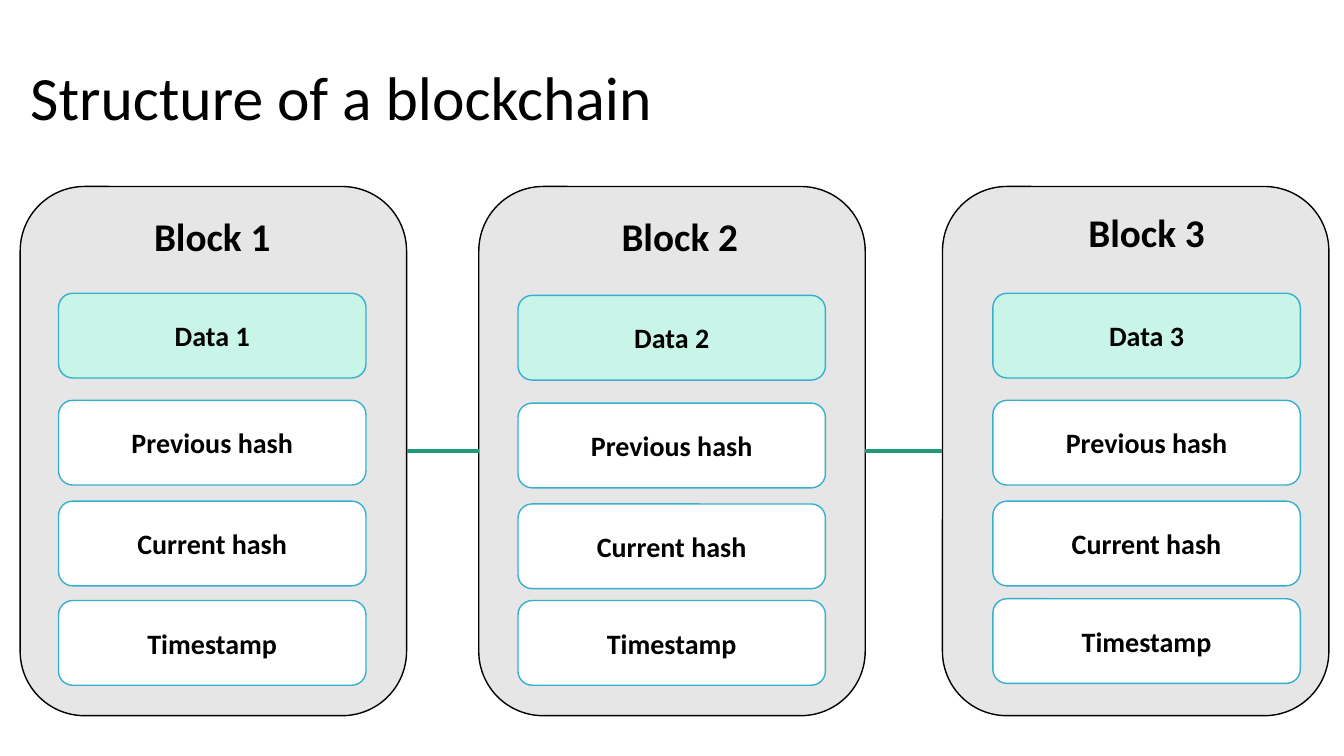
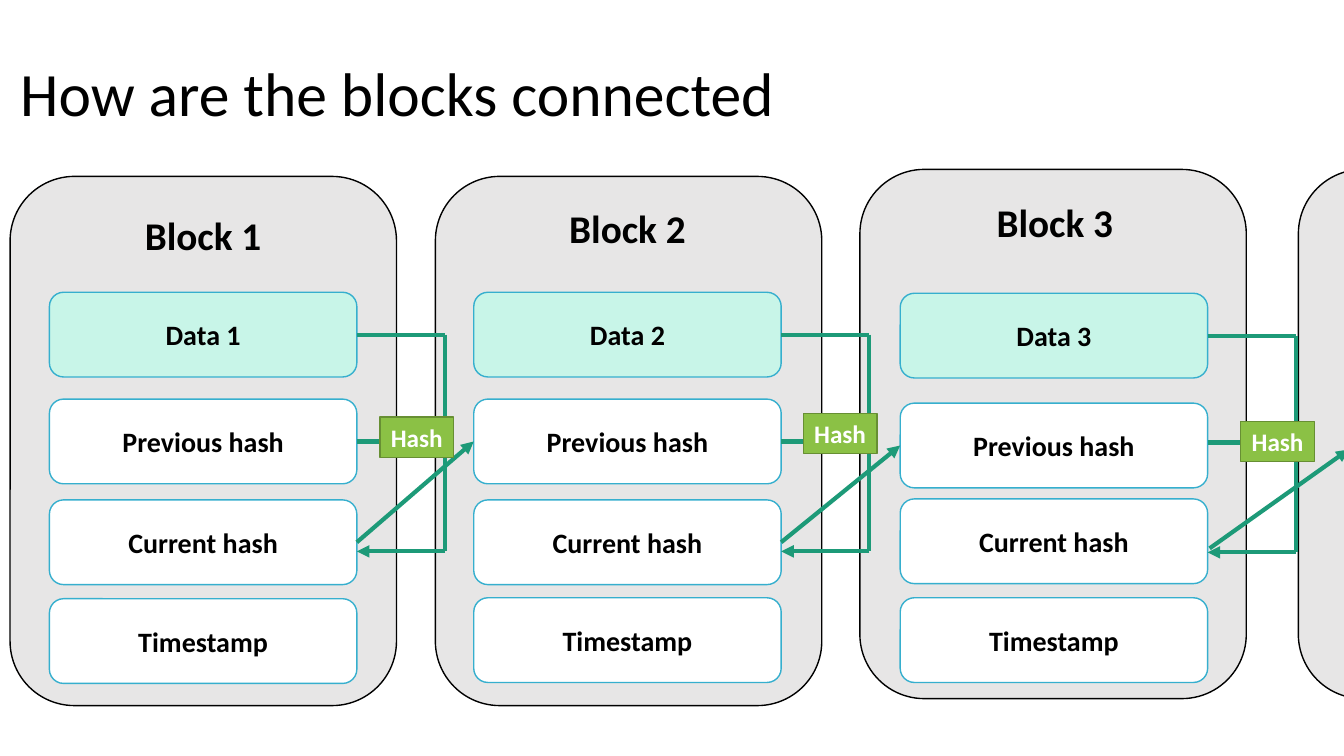
"""Builds two slides on how a blockchain is structured and linked."""
from collections import namedtuple
from dataclasses import dataclass
from lxml import etree
from pptx import Presentation
from pptx.dml.color import RGBColor as RGB
from pptx.enum.shapes import MSO_CONNECTOR as CXN, MSO_SHAPE as SHP
from pptx.enum.text import MSO_ANCHOR as ANCHOR, MSO_AUTO_SIZE as FIT, PP_ALIGN as ALIGN
from pptx.oxml.ns import qn
from pptx.util import Pt


@dataclass(frozen=True)
class Theme:
    font: str = "Calibri"
    ink: str = "000000"
    paper: str = "FFFFFF"
    panel: str = "E7E6E6"
    data: str = "C8F5E8"
    edge: str = "36AFCE"
    link: str = "1D9A78"
    tag: str = "8BC145"
    tag_edge: str = "678F33"
    title_size: int = 44
    head_size: int = 28
    field_size: int = 20
    tag_size: int = 18
    line_width: int = 1
    link_width: int = 3


T = Theme()
PANEL_W, PANEL_H = 276, 378
FIELD_W, FIELD_H = 219.6, 60.5
HEAD_H = 41
TAG_W, TAG_H = 52.6, 28.8
LOOP_W, LOOP_H, STUB_DY = 63, 154.8, 76.3
HASHES = ["Previous hash", "Current hash", "Timestamp"]

Block = namedtuple("Block", "panel_x panel_y head_x head_y field_x tops")
STRUCTURE = [
    Block(14.4, 133.2, 41.8, 148.3, 41.8, (209.5, 286, 358, 429)),
    Block(342, 133.2, 375.8, 148.3, 370, (211, 288, 360, 429)),
    Block(673.2, 133.2, 709.2, 145.4, 709.2, (209.5, 286, 358, 427.7)),
]
CONNECTED = [
    Block(7.2, 126, 35.3, 147.6, 35.3, (208.8, 285.1, 357.1, 427.7)),
    Block(311, 126, 338.4, 142.6, 338.4, (208.8, 285.1, 357.1, 427)),
    Block(614.2, 121, 643.7, 138.2, 643, (209.5, 288, 356.4, 427)),
]
NEXT_PANEL = (927.4, 121)
TAGS = [(271.4, 298), (573.8, 295.2), (886.3, 301)]
LAST_LINK = ((864, 391.7), (963.4, 321.1))


def assign(obj, values):
    for name, value in values.items():
        setattr(obj, name, value)


def side(sp, site):
    x, y, w, h = (v.pt for v in (sp.left, sp.top, sp.width, sp.height))
    return [(x + w / 2, y), (x, y + h / 2), (x + w / 2, y + h), (x + w, y + h / 2)][site]


class Deck:
    def __init__(self):
        self.prs = Presentation()
        assign(self.prs, {"slide_width": Pt(960), "slide_height": Pt(540)})

    def slide(self, title, x, y):
        self.s = self.prs.slides.add_slide(self.prs.slide_layouts[5])
        self.boxes = []
        sp = self.s.shapes.title
        assign(sp, {"left": Pt(x), "top": Pt(y), "width": Pt(828), "height": Pt(104.4)})
        self.text(sp, title, T.title_size, bold=False, align=ALIGN.LEFT, spacing=0.9)

    def text(self, sp, text, size, color=T.ink, bold=True, align=ALIGN.CENTER,
             spacing=1.0, **frame):
        tf = sp.text_frame
        assign(tf, {"word_wrap": True, "auto_size": FIT.NONE,
                    "vertical_anchor": ANCHOR.MIDDLE, **frame})
        p = tf.paragraphs[0]
        assign(p, {"alignment": align, "line_spacing": spacing})
        r = p.add_run()
        r.text = text
        assign(r.font, {"name": T.font, "size": Pt(size), "bold": bold})
        r.font.color.rgb = RGB.from_string(color)

    def box(self, x, y, w, h, fill, edge, kind=SHP.ROUNDED_RECTANGLE):
        sp = self.s.shapes.add_shape(kind, Pt(x), Pt(y), Pt(w), Pt(h))
        sp.shadow.inherit = False
        sp.fill.solid()
        sp.fill.fore_color.rgb = RGB.from_string(fill)
        sp.line.color.rgb = RGB.from_string(edge)
        sp.line.width = Pt(T.line_width)
        self.boxes.append(sp)
        return sp

    def panel(self, x, y):
        return self.box(x, y, PANEL_W, PANEL_H, T.panel, T.ink)

    def field(self, x, y, text, fill):
        sp = self.box(x, y, FIELD_W, FIELD_H, fill, T.edge)
        self.text(sp, text, T.field_size)
        return sp

    def block(self, number, b):
        sp = self.s.shapes.add_textbox(Pt(b.head_x), Pt(b.head_y), Pt(FIELD_W), Pt(HEAD_H))
        self.text(sp, f"Block {number}", T.head_size,
                  auto_size=FIT.SHAPE_TO_FIT_TEXT, vertical_anchor=ANCHOR.TOP)
        labels = [f"Data {number}", *HASHES]
        fills = [T.data] + [T.paper] * len(HASHES)
        return [self.field(b.field_x, y, text, fill)
                for y, text, fill in zip(b.tops, labels, fills)]

    def blocks(self, blocks):
        return [self.block(n, b) for n, b in enumerate(blocks, 1)]

    def tag(self, x, y):
        sp = self.box(x, y, TAG_W, TAG_H, T.tag, T.tag_edge, SHP.RECTANGLE)
        self.text(sp, "Hash", T.tag_size, T.paper, margin_left=0, margin_right=0,
                  margin_top=0, margin_bottom=0)

    def join(self, connect, x, y):
        for sp in self.boxes:
            for site in range(4):
                sx, sy = side(sp, site)
                if abs(sx - x) < 1 and abs(sy - y) < 1:
                    connect(sp, site)
                    return

    def link(self, start, end, arrow=False):
        ends = [Pt(v) for v in (*start, *end)]
        c = self.s.shapes.add_connector(CXN.STRAIGHT, *ends)
        c.line.color.rgb = RGB.from_string(T.link)
        c.line.width = Pt(T.link_width)
        if arrow:
            etree.SubElement(c.line._get_or_add_ln(), qn("a:tailEnd"), type="triangle")
        etree.SubElement(c._element.spPr, qn("a:effectLst"))
        self.join(c.begin_connect, *start)
        self.join(c.end_connect, *end)

    def loop(self, data):
        x, y = side(data, 3)
        turn, low, stub = x + LOOP_W, y + LOOP_H, y + STUB_DY
        self.link((x, stub), (turn, stub))
        self.link((x, y), (turn, y))
        self.link((turn, y), (turn, low))
        self.link((turn, low), (x, low), arrow=True)


def structure(deck):
    deck.slide("Structure of a blockchain", 14.4, 19.4)
    panels = [deck.panel(b.panel_x, b.panel_y) for b in STRUCTURE]
    deck.blocks(STRUCTURE)
    for left, right in zip(panels, panels[1:]):
        deck.link(side(left, 3), side(right, 1))


def connected(deck):
    deck.slide("How are the blocks connected", 7.2, 16.6)
    for x, y in [NEXT_PANEL] + [(b.panel_x, b.panel_y) for b in CONNECTED]:
        deck.panel(x, y)
    rows = deck.blocks(CONNECTED)
    for data, *_ in rows:
        deck.loop(data)
    for here, following in zip(rows, rows[1:]):
        deck.link(side(here[2], 3), side(following[1], 1), arrow=True)
    deck.link(*LAST_LINK, arrow=True)
    for x, y in TAGS:
        deck.tag(x, y)


def main():
    deck = Deck()
    structure(deck)
    connected(deck)
    deck.prs.save("out.pptx")


if __name__ == "__main__":
    main()
